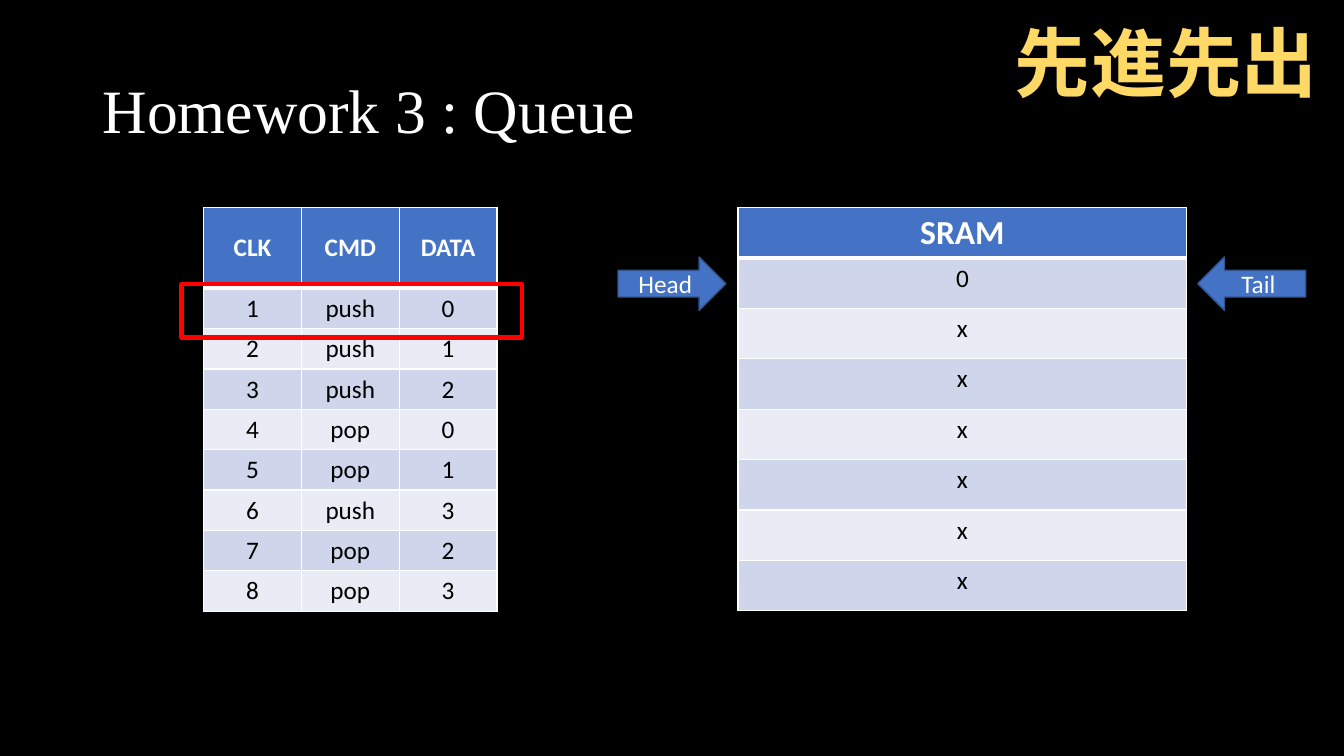
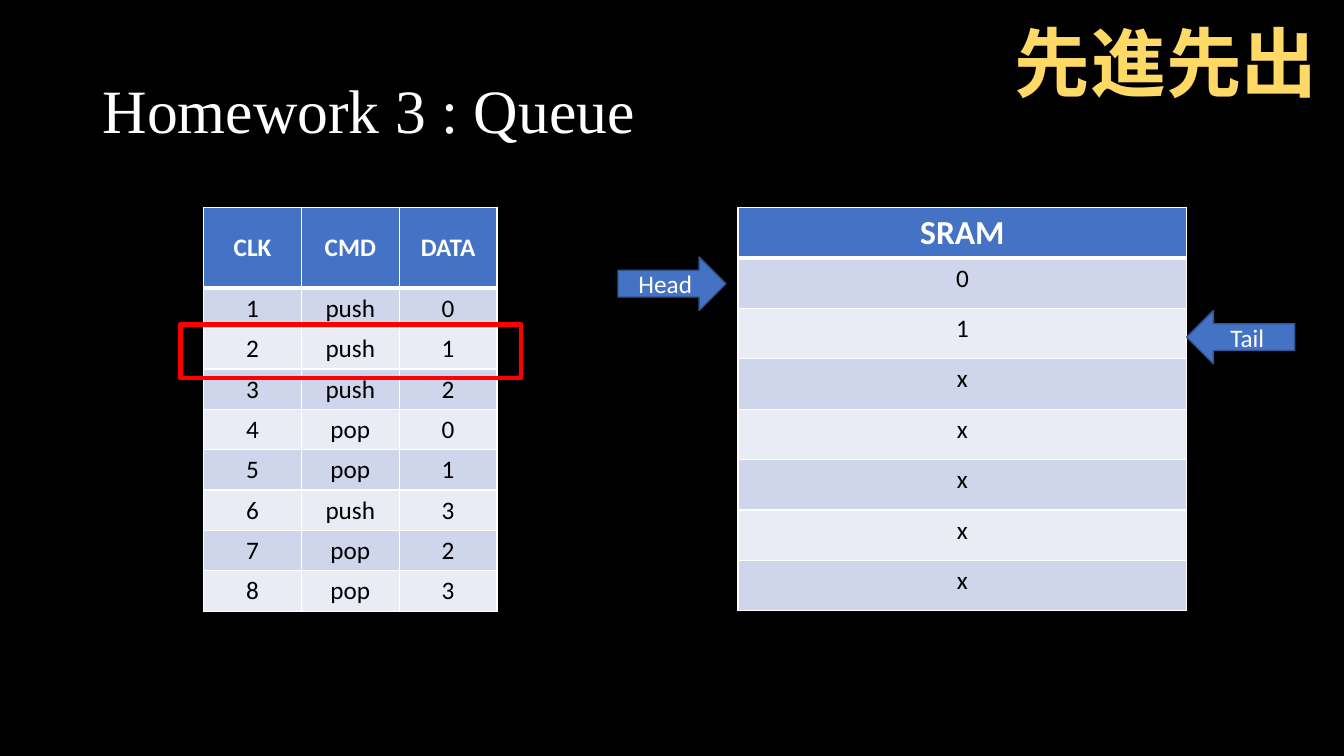
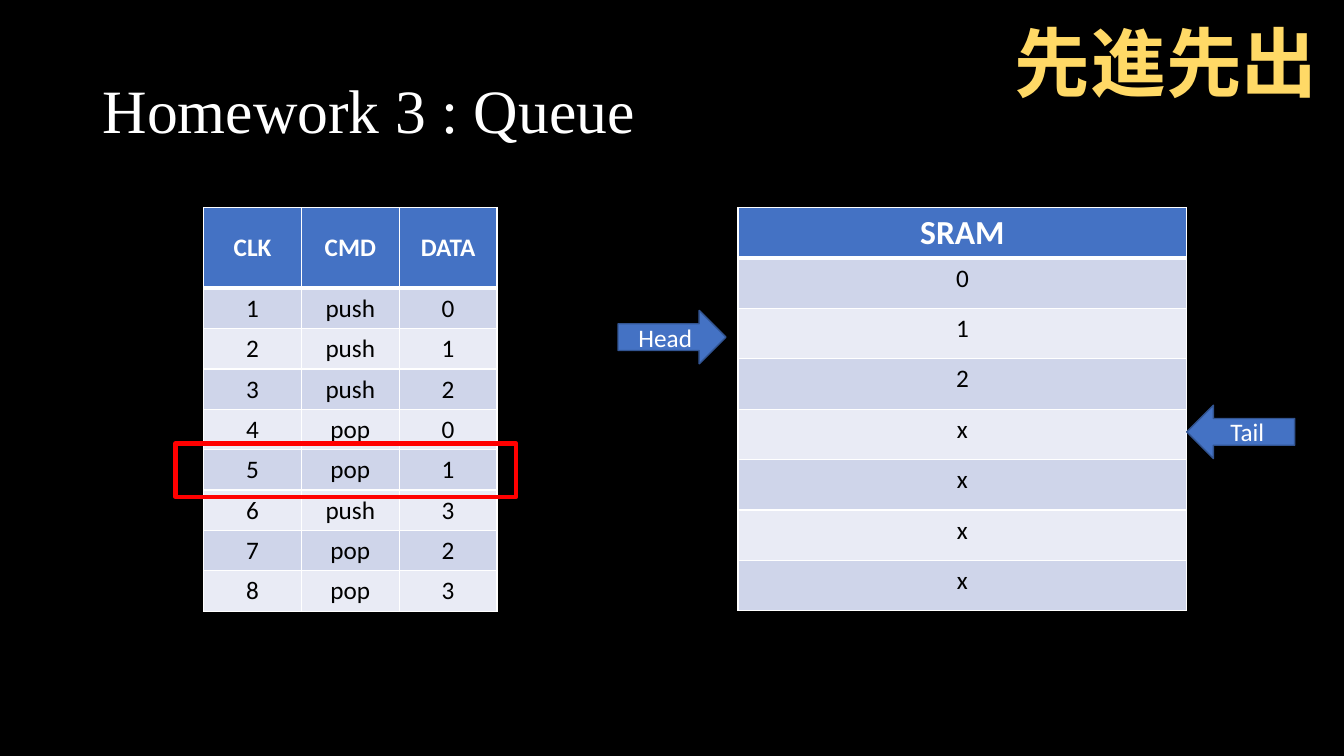
from dataclasses import dataclass

from lxml.etree import SubElement
from pptx import Presentation
from pptx.dml.color import RGBColor
from pptx.enum.shapes import MSO_SHAPE as Shape
from pptx.enum.text import MSO_ANCHOR as Anchor, MSO_AUTO_SIZE as AutoSize, PP_ALIGN as Align
from pptx.oxml.ns import qn
from pptx.util import Inches, Pt


@dataclass(frozen=True)
class Theme:
    background: str = "000000"
    light: str = "FFFFFF"
    dark: str = "000000"
    accent: str = "4472C4"
    accent_edge: str = "325491"
    bands: tuple = ("CFD5EA", "E9EBF5")
    highlight: str = "FF0000"
    motto: str = "FFD966"
    title_font: str = "Times New Roman"
    body_font: str = "Calibri"
    title_size: int = 44
    motto_size: int = 54
    heading_size: int = 24
    body_size: int = 18
    thin: int = 1
    thick: int = 3


@dataclass(frozen=True)
class Step:
    memory: tuple
    highlight_at: tuple
    head_top: float
    tail_at: tuple


THEME = Theme()
TITLE = "Homework 3 : Queue"
MOTTO = "先進先出"
MEMORY_DEPTH = 7
COMMANDS = [
    ("CLK", "CMD", "DATA"),
    ("1", "push", "0"),
    ("2", "push", "1"),
    ("3", "push", "2"),
    ("4", "pop", "0"),
    ("5", "pop", "1"),
    ("6", "push", "3"),
    ("7", "pop", "2"),
    ("8", "pop", "3"),
]
STEPS = [
    Step(("0",), (1.8, 2.82), 2.55, (11.88, 2.55)),
    Step(("0", "1"), (1.79, 3.22), 2.55, (11.77, 3.08)),
    Step(("0", "1", "2"), (1.74, 4.4), 3.08, (11.77, 4.02)),
]
TITLE_BOX = (0.92, 0.4, 11.5, 1.45)
MOTTO_BOX = (9.95, 0.11, 3.23, 1.01)
COMMAND_BOX = (2.02, 2.06, 2.91, 4)
MEMORY_BOX = (7.32, 2.06, 4.45, 4)
HIGHLIGHT_SIZE = (3.38, 0.53)
POINTER_SIZE = (1.07, 0.53)
HEAD_LEFT = 6.13


def rgb(color):
    return RGBColor.from_string(color)


def inches(box):
    return [Inches(length) for length in box]


def write(frame, text, size, color, font=THEME.body_font, bold=False, align=Align.CENTER):
    frame.text = text
    paragraph = frame.paragraphs[0]
    paragraph.alignment = align
    style = paragraph.runs[0].font
    style.name, style.size, style.bold = font, Pt(size), bold
    style.color.rgb = rgb(color)
    return paragraph


def add_title(slide, box):
    frame = slide.shapes.add_textbox(*inches(box)).text_frame
    frame.word_wrap = True
    frame.vertical_anchor = Anchor.MIDDLE
    heading = write(frame, TITLE, THEME.title_size, THEME.light, THEME.title_font, align=Align.LEFT)
    heading.line_spacing = 0.9


def add_motto(slide, box):
    frame = slide.shapes.add_textbox(*inches(box)).text_frame
    frame.word_wrap = False
    frame.auto_size = AutoSize.SHAPE_TO_FIT_TEXT
    write(frame, MOTTO, THEME.motto_size, THEME.motto, bold=True)


def draw_borders(cell, top, bottom):
    properties = cell._tc.get_or_add_tcPr()
    widths = {"a:lnL": THEME.thin, "a:lnR": THEME.thin, "a:lnT": top, "a:lnB": bottom}
    for side, width in widths.items():
        edge = SubElement(properties, qn(side), w=str(Pt(width)))
        SubElement(SubElement(edge, qn("a:solidFill")), qn("a:srgbClr"), val=THEME.light)


def add_grid(slide, box, rows, header_height, header_size, anchor):
    left, top, width, height = box
    columns = len(rows[0])
    grid = slide.shapes.add_table(len(rows), columns, *inches(box)).table
    for column in grid.columns:
        column.width = Inches(width / columns)
    for index, values in enumerate(rows):
        is_header = index == 0
        row_height = header_height if is_header else (height - header_height) / (len(rows) - 1)
        grid.rows[index].height = Inches(row_height)
        for column, value in enumerate(values):
            cell = grid.cell(index, column)
            draw_borders(
                cell,
                top=THEME.thick if index == 1 else THEME.thin,
                bottom=THEME.thick if is_header else THEME.thin,
            )
            cell.fill.solid()
            cell.fill.fore_color.rgb = rgb(THEME.accent if is_header else THEME.bands[(index - 1) % 2])
            cell.vertical_anchor = anchor
            write(
                cell.text_frame,
                value,
                header_size if is_header else THEME.body_size,
                THEME.light if is_header else THEME.dark,
                bold=is_header,
            )


def add_memory(slide, box, stored):
    cells = list(stored) + ["x"] * (MEMORY_DEPTH - len(stored))
    rows = [("SRAM",)] + [(value,) for value in cells]
    add_grid(slide, box, rows, 0.5, THEME.heading_size, Anchor.TOP)


def add_commands(slide, box):
    add_grid(slide, box, COMMANDS, 0.8, THEME.body_size, Anchor.MIDDLE)


def add_pointer(slide, box, label, direction):
    pointer = slide.shapes.add_shape(direction, *inches(box))
    pointer.shadow.inherit = False
    pointer.fill.solid()
    pointer.fill.fore_color.rgb = rgb(THEME.accent)
    pointer.line.color.rgb = rgb(THEME.accent_edge)
    pointer.line.width = Pt(THEME.thin)
    pointer.text_frame.vertical_anchor = Anchor.MIDDLE
    write(pointer.text_frame, label, THEME.body_size, THEME.light)


def add_highlight(slide, box):
    highlight = slide.shapes.add_shape(Shape.RECTANGLE, *inches(box))
    highlight.shadow.inherit = False
    highlight.fill.background()
    highlight.line.color.rgb = rgb(THEME.highlight)
    highlight.line.width = Pt(THEME.thick)


def add_queue_slide(deck, step):
    slide = deck.slides.add_slide(deck.slide_layouts[6])
    add_title(slide, TITLE_BOX)
    add_memory(slide, MEMORY_BOX, step.memory)
    add_pointer(slide, (HEAD_LEFT, step.head_top, *POINTER_SIZE), "Head", Shape.RIGHT_ARROW)
    add_commands(slide, COMMAND_BOX)
    add_highlight(slide, (*step.highlight_at, *HIGHLIGHT_SIZE))
    add_motto(slide, MOTTO_BOX)
    add_pointer(slide, (*step.tail_at, *POINTER_SIZE), "Tail", Shape.LEFT_ARROW)


def main():
    deck = Presentation()
    deck.slide_width, deck.slide_height = Inches(13.33), Inches(7.5)
    backdrop = deck.slide_master.background.fill
    backdrop.solid()
    backdrop.fore_color.rgb = rgb(THEME.background)
    for step in STEPS:
        add_queue_slide(deck, step)
    deck.save("out.pptx")


if __name__ == "__main__":
    main()
